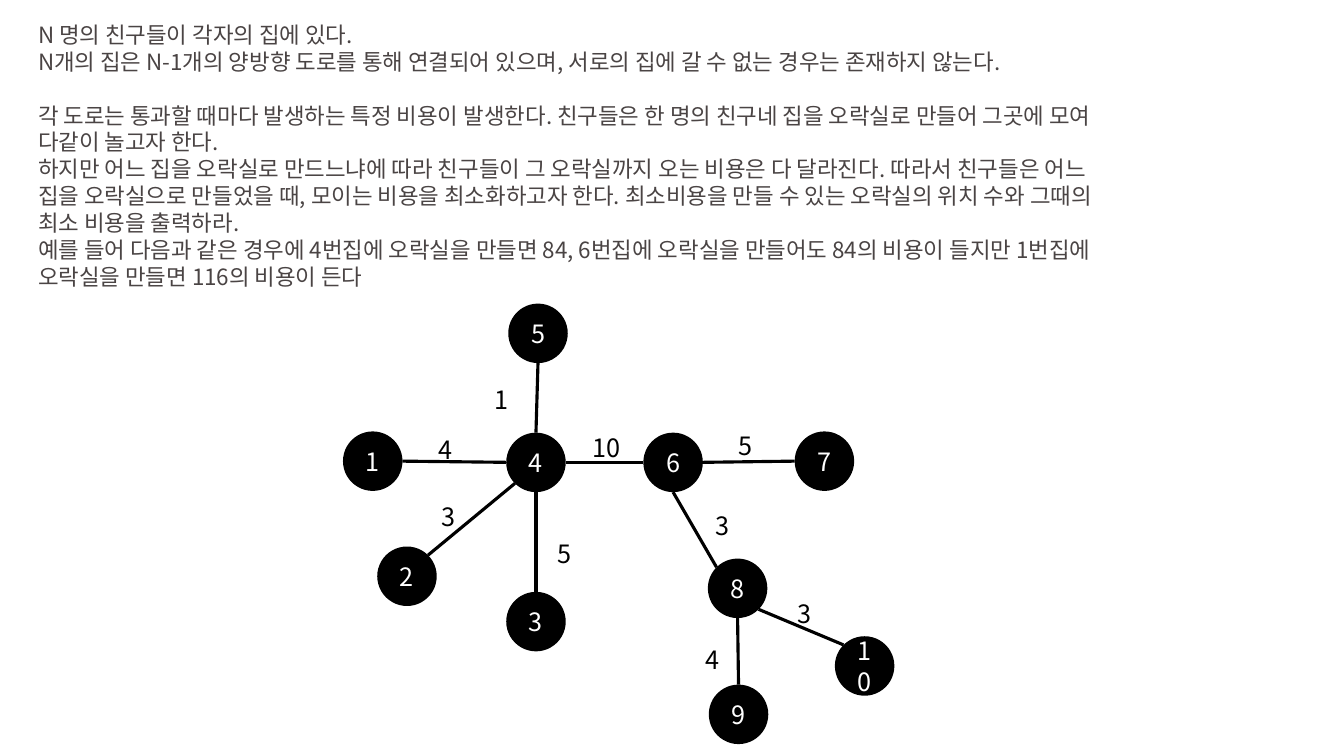
from dataclasses import dataclass
from math import cos, radians, sin

from lxml import etree
from pptx import Presentation
from pptx import util as u
from pptx.dml.color import RGBColor
from pptx.enum import shapes, text
from pptx.oxml.ns import qn

FONT = "Noto Sans CJK KR"
COLORS = {"prose": "4A4444", "ink": "000000", "node_text": "FFFFFF"}

prs = Presentation()
prs.slide_width, prs.slide_height = u.Inches(13.33), u.Inches(7.5)
# Grid of 100 columns by 100 rows
COL, ROW = prs.slide_width / 100, prs.slide_height / 100
DIAMETER = u.Inches(0.59)

# Connection sites of an ellipse, counter-clockwise from the top
TOP, TOP_LEFT, LEFT, BOTTOM_LEFT, BOTTOM, BOTTOM_RIGHT, RIGHT, TOP_RIGHT = range(8)


@dataclass
class House:
    """A house, centred on a column and a row."""
    number: int
    col: float
    row: float


@dataclass
class Road:
    """A road between two houses, with its cost label."""
    start: int
    start_site: int
    end: int
    end_site: int
    cost: str
    col: float
    row: float
    cols: float = 3.45


PROSE = [
    "N 명의 친구들이 각자의 집에 있다.",
    "N개의 집은 N-1개의 양방향 도로를 통해 연결되어 있으며, 서로의 집에 갈 수 없는 경우는 존재하지 않는다.",
    "각 도로는 통과할 때마다 발생하는 특정 비용이 발생한다. 친구들은 한 명의 친구네 집을 오락실로 만들어 "
    "그곳에 모여 다같이 놀고자 한다.",
    "하지만 어느 집을 오락실로 만드느냐에 따라 친구들이 그 오락실까지 오는 비용은 다 달라진다. 따라서 친구들은 "
    "어느 집을 오락실으로 만들었을 때, 모이는 비용을 최소화하고자 한다. 최소비용을 만들 수 있는 오락실의 위치 수와 "
    "그때의 최소 비용을 출력하라.",
    "예를 들어 다음과 같은 경우에 4번집에 오락실을 만들면 84, 6번집에 오락실을 만들어도 84의 비용이 들지만 "
    "1번집에 오락실을 만들면 116의 비용이 든다",
]
HOUSES = [
    House(1, 27.73, 61), House(2, 30.28, 76.22), House(3, 39.88, 82.22),
    House(4, 39.88, 61.16), House(5, 40.03, 44.09), House(6, 50.08, 61.16),
    House(7, 61.34, 61), House(8, 54.88, 77.82), House(9, 54.95, 94.49),
    House(10, 64.33, 88.09),
]
ROADS = [
    Road(1, RIGHT, 4, LEFT, "4", 31.88, 56.8),
    Road(4, RIGHT, 6, LEFT, "10", 43.35, 56.53, 4.43),
    Road(2, TOP_RIGHT, 4, BOTTOM_LEFT, "3", 32.1, 65.6),
    Road(5, BOTTOM, 4, TOP, "1", 36.08, 50.13),
    Road(3, TOP, 4, BOTTOM, "5", 40.73, 70.53),
    Road(6, RIGHT, 7, LEFT, "5", 54.23, 56.27),
    Road(8, TOP_LEFT, 6, BOTTOM, "3", 52.5, 66.8),
    Road(9, TOP, 8, BOTTOM, "4", 51.75, 84.53),
    Road(10, TOP_LEFT, 8, BOTTOM_RIGHT, "3", 58.58, 78.53, 2.33),
]


def format_text(tf, size: float, color: str) -> None:
    tf.word_wrap = True
    for p in tf.paragraphs:
        p.line_spacing = u.Pt(size * 1.2)
        for r in p.runs:
            r.font.size, r.font.name = u.Pt(size), FONT
            r.font.color.rgb = RGBColor.from_string(COLORS[color])
            ea = etree.SubElement(r.font._element, qn("a:ea"))
            ea.set("typeface", FONT)


def add_text(s, col: float, row: float, cols: float, rows: float,
             lines: list[str], size: float, color: str):
    box = s.shapes.add_textbox(int(col * COL), int(row * ROW), int(cols * COL), int(rows * ROW))
    box.text_frame.text = "\n".join(lines)
    format_text(box.text_frame, size, color)
    return box


def add_house(s, house: House):
    sp = s.shapes.add_shape(
        shapes.MSO_SHAPE.OVAL, int(house.col * COL - DIAMETER / 2),
        int(house.row * ROW - DIAMETER / 2), DIAMETER, DIAMETER)
    sp.shadow.inherit = False
    sp.fill.solid()
    sp.fill.fore_color.rgb = RGBColor.from_string(COLORS["ink"])
    sp.line.fill.background()
    tf = sp.text_frame
    tf.text = str(house.number)
    tf.vertical_anchor = text.MSO_ANCHOR.MIDDLE
    tf.paragraphs[0].alignment = text.PP_ALIGN.CENTER
    format_text(tf, 18, "node_text")
    return sp


def site_point(sp, site: int) -> tuple[int, int]:
    angle = radians(90 + 45 * site)
    radius = sp.width / 2
    return (int(sp.left + radius * (1 + cos(angle))),
            int(sp.top + radius * (1 - sin(angle))))


def add_road(s, road: Road, nodes: dict) -> None:
    start, end = nodes[road.start], nodes[road.end]
    line = s.shapes.add_connector(
        shapes.MSO_CONNECTOR.STRAIGHT,
        *site_point(start, road.start_site), *site_point(end, road.end_site))
    line.line.color.rgb = RGBColor.from_string(COLORS["ink"])
    line.line.width = u.Pt(2.25)
    etree.SubElement(line._element.spPr, qn("a:effectLst"))
    # Glue both ends to the ellipses' connection sites
    joints = line._element.find(".//" + qn("p:cNvCxnSpPr"))
    for tag, sp, site in (("a:stCxn", start, road.start_site), ("a:endCxn", end, road.end_site)):
        joint = etree.SubElement(joints, qn(tag))
        joint.set("id", str(sp.shape_id))
        joint.set("idx", str(site))
    add_text(s, road.col, road.row, road.cols, 4.4, [road.cost], 18, "ink")


def main() -> None:
    s = prs.slides.add_slide(prs.slide_layouts[6])
    # Problem statement, with a one-line gap before its third paragraph
    prose = add_text(s, 2.1, 2.13, 82.52, 42.13, PROSE, 16, "prose")
    prose.text_frame.paragraphs[2].space_before = u.Pt(19.2)
    # Tree of houses and roads
    nodes = {house.number: add_house(s, house) for house in HOUSES}
    for road in ROADS:
        add_road(s, road, nodes)
    prs.save("out.pptx")


if __name__ == "__main__":
    main()
